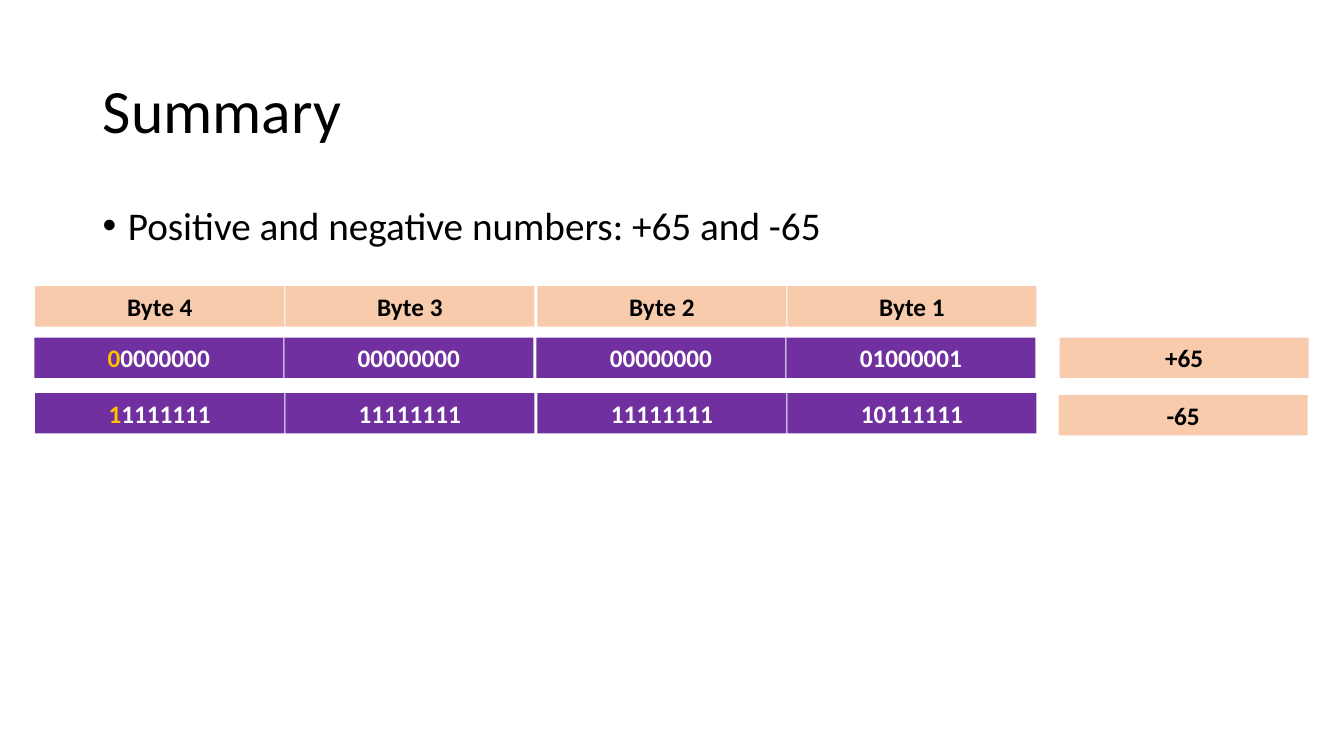
from dataclasses import dataclass

from lxml.etree import SubElement
from pptx import Presentation
from pptx.dml.color import RGBColor
from pptx.enum.shapes import MSO_SHAPE as Shape
from pptx.enum.text import MSO_ANCHOR as Anchor, MSO_AUTO_SIZE as Fit, PP_ALIGN as Align
from pptx.oxml.ns import qn
from pptx.slide import Slide
from pptx.text.text import TextFrame
from pptx.util import Inches, Pt

COLORS = {"black": "000000", "white": "FFFFFF", "peach": "F8CBAD",
          "purple": "7030A0", "gold": "FFC000"}
WIDTH, HEIGHT = 2.47, 0.4
STEPS = (0, 2.48, 4.98, 7.46)


@dataclass
class Row:
    left: float
    top: float
    cells: tuple[str, ...]
    fill: str = "peach"
    ink: str = "black"
    sign: int = 0


ROWS = (
    Row(0.35, 2.84, ("Byte 4", "Byte 3", "Byte 2", "Byte 1")),
    Row(0.34, 3.35, ("00000000", "00000000", "00000000", "01000001"), "purple", "white", 1),
    Row(0.35, 3.9, ("11111111", "11111111", "11111111", "10111111"), "purple", "white", 1),
    Row(10.51, 3.35, ("+65",)),
    Row(10.5, 3.92, ("-65",)),
)


def color(name: str) -> RGBColor:
    return RGBColor.from_string(COLORS[name])


def write(frame: TextFrame, text: str, *, size: float, ink: str = "black",
          bold: bool = False, align: Align = Align.LEFT, anchor: Anchor = Anchor.TOP,
          line: float = 1.0, sign: int = 0) -> None:
    frame.word_wrap = True
    frame.auto_size = Fit.NONE
    frame.vertical_anchor = anchor
    par = frame.paragraphs[0]
    par.alignment = align
    par.line_spacing = line
    for part, tint in ((text[:sign], "gold"), (text[sign:], ink)):
        if part:
            run = par.add_run()
            run.text = part
            run.font.name = "Calibri"
            run.font.size = Pt(size)
            run.font.bold = bold
            run.font.color.rgb = color(tint)


def add_title(slide: Slide, text: str) -> None:
    title = slide.shapes.title
    title.left, title.top = Inches(0.92), Inches(0.4)
    title.width, title.height = Inches(11.5), Inches(1.45)
    write(title.text_frame, text, size=44, anchor=Anchor.MIDDLE, line=0.9)


def add_point(slide: Slide, text: str) -> None:
    box = slide.shapes.add_textbox(Inches(0.92), Inches(2), Inches(11.5), Inches(4.76))
    write(box.text_frame, text, size=28, line=0.9)
    par = box.text_frame.paragraphs[0]
    par.space_before = Pt(10)
    props = par._p.get_or_add_pPr()
    props.set("marL", str(Inches(0.25)))
    props.set("indent", str(Inches(-0.25)))
    SubElement(props, qn("a:buFont"), typeface="Arial")
    SubElement(props, qn("a:buChar"), char="•")


def add_row(slide: Slide, row: Row) -> None:
    for i, (step, text) in enumerate(zip(STEPS, row.cells)):
        cell = slide.shapes.add_shape(Shape.RECTANGLE, Inches(row.left + step),
                                      Inches(row.top), Inches(WIDTH), Inches(HEIGHT))
        cell.shadow.inherit = False
        cell.fill.solid()
        cell.fill.fore_color.rgb = color(row.fill)
        cell.line.fill.background()
        write(cell.text_frame, text, size=18, ink=row.ink, bold=True,
              align=Align.CENTER, sign=0 if i else row.sign)


def main() -> None:
    deck = Presentation()
    deck.slide_width, deck.slide_height = Inches(13.33), Inches(7.5)
    slide = deck.slides.add_slide(deck.slide_layouts.get_by_name("Title Only"))
    add_title(slide, "Summary")
    add_point(slide, "Positive and negative numbers: +65 and -65")
    for row in ROWS:
        add_row(slide, row)
    deck.save("out.pptx")


if __name__ == "__main__":
    main()
